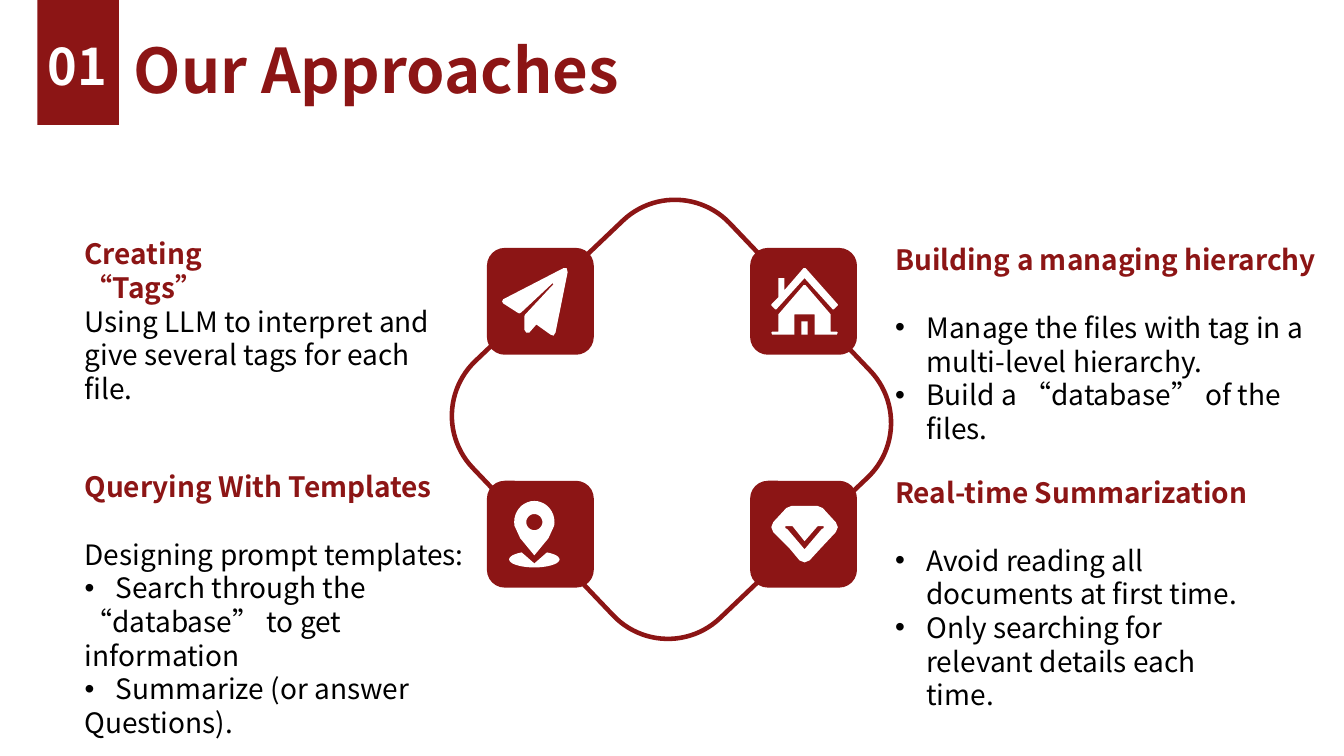
"""Build the "Our Approaches" slide with four topics around a looped frame."""
from math import cos, radians, sin

from lxml import etree
from pptx import Presentation
from pptx.dml.color import RGBColor
from pptx.enum.shapes import MSO_SHAPE
from pptx.enum.text import MSO_ANCHOR, PP_ALIGN
from pptx.oxml.ns import qn
from pptx.util import Inches, Pt

RECTANGLE = MSO_SHAPE.RECTANGLE
ROUNDED = MSO_SHAPE.ROUNDED_RECTANGLE
TOP = MSO_ANCHOR.TOP
LEFT = PP_ALIGN.LEFT
CENTER = PP_ALIGN.CENTER

CARDINAL = RGBColor(0x8C, 0x15, 0x15)
WHITE = RGBColor(0xFF, 0xFF, 0xFF)
BLACK = RGBColor(0x00, 0x00, 0x00)
FONT = "Noto Sans CJK SC"
BODY_SIZE = 20
LINE_RATIO = 1.2
BODY_DROP = 0.67
TILE_SIZE = 1.06
TILE_COLUMNS = (4.83, 7.44)
TILE_ROWS = (2.46, 4.77)

TOPICS = [
    (0.74, 2.3, 2.58, "Creating “Tags”", 3.84, [
        (False, "Using LLM to interpret and give several tags for each file."),
    ]),
    (0.74, 4.61, 3.74, "Querying With Templates", 4.23, [
        (False, "Designing prompt templates:"),
        (True, "Search through the"),
        (False, "“database” to get information"),
        (True, "Summarize (or answer"),
        (False, "Questions)."),
    ]),
    (8.78, 2.36, 4.5, "Building a managing hierarchy", 4.44, [
        (True, "Manage the files with tag in a multi-level hierarchy."),
        (True, "Build a “database” of the files."),
    ]),
    (8.78, 4.67, 4.05, "Real-time Summarization", 3.84, [
        (True, "Avoid reading all documents at first time."),
        (True, "Only searching for relevant details each time."),
    ]),
]


def arc(center_x, center_y, radius_x, radius_y, start, end):
    """Return points along an elliptical arc, clockwise in degrees."""
    return [(center_x + radius_x * cos(radians(angle)),
             center_y + radius_y * sin(radians(angle)))
            for angle in range(start, end + 1, 10)]


PLANE = [[
    (5.62, 2.66), (5.59, 2.66), (4.99, 2.97), (4.98, 2.99), (4.99, 3.01),
    (5.13, 3.1), (5.15, 3.11), (5.17, 3.1), (5.48, 2.81), (5.49, 2.82),
    (5.21, 3.12), (5.2, 3.14), (5.2, 3.27), (5.22, 3.3), (5.25, 3.3),
    (5.32, 3.22), (5.46, 3.32), (5.49, 3.33), (5.51, 3.3), (5.63, 2.7),
]]
HOUSE = [
    [(7.98, 2.76), (8.26, 3.07), (8.27, 3.07), (8.31, 3.03), (8.31, 3.02),
     (7.99, 2.66), (7.97, 2.66), (7.78, 2.88), (7.78, 2.76), (7.72, 2.76),
     (7.72, 2.95), (7.65, 3.02), (7.65, 3.03), (7.69, 3.07), (7.7, 3.07)],
    [(7.95, 3.19), (8.01, 3.19), (8.01, 3.32), (7.95, 3.32)],
    [(8.3, 3.29), (8.24, 3.29), (8.24, 3.12), (7.99, 2.83), (7.97, 2.83),
     (7.72, 3.12), (7.72, 3.29), (7.66, 3.29), (7.65, 3.3), (7.66, 3.32),
     (7.88, 3.32), (7.88, 3.12), (8.08, 3.12), (8.08, 3.32), (8.3, 3.32),
     (8.31, 3.3)],
]
PIN = [
    arc(5.3, 5.55, 0.25, 0.08, -60, 240) + [(5.3, 5.59)],
    arc(5.3, 5.18, 0.2, 0.21, 170, 370)
    + [(5.44, 5.34), (5.3, 5.51), (5.16, 5.34)],
    arc(5.3, 5.18, 0.08, 0.08, 0, 350),
]
GEM = [
    [(8.11, 5.22), (7.98, 5.37), (7.86, 5.22), (7.79, 5.22), (7.79, 5.24),
     (7.81, 5.25), (7.98, 5.45), (8.15, 5.25), (8.17, 5.24), (8.17, 5.22)],
    [(8.29, 5.18), (8.31, 5.23), (8.29, 5.28), (8.14, 5.44), (8.03, 5.56),
     (7.98, 5.58), (7.93, 5.56), (7.83, 5.44), (7.67, 5.28), (7.65, 5.23),
     (7.67, 5.18), (7.8, 5.04), (7.85, 5.02), (8.11, 5.02), (8.16, 5.04),
     (8.27, 5.16)],
]


class SlideBuilder:
    """Draw styled elements on one slide."""

    def __init__(self, slide):
        """Keep the slide to draw on."""
        self.slide = slide

    def block(self, kind, left, top, width, height):
        """Add a solid cardinal shape."""
        shape = self.slide.shapes.add_shape(
            kind, Inches(left), Inches(top), Inches(width), Inches(height))
        shape.shadow.inherit = False
        shape.fill.solid()
        shape.fill.fore_color.rgb = CARDINAL
        shape.line.fill.background()
        return shape

    def loop(self, left, top, size, rotation):
        """Add the rotated rounded outline."""
        shape = self.block(ROUNDED, left, top, size, size)
        shape.adjustments[0] = 0.213
        shape.rotation = rotation
        shape.fill.background()
        shape.line.color.rgb = CARDINAL
        shape.line.width = Pt(3.25)

    def icon(self, contours):
        """Add a white outline made of closed contours."""
        scaled = [[(x * 1000, y * 1000) for x, y in contour]
                  for contour in contours]
        builder = self.slide.shapes.build_freeform(
            *scaled[0][0], scale=Inches(1) / 1000)
        for index, contour in enumerate(scaled):
            if index:
                builder.move_to(*contour[0])
            builder.add_line_segments(contour[1:], close=True)
        shape = builder.convert_to_shape()
        shape.shadow.inherit = False
        shape.fill.solid()
        shape.fill.fore_color.rgb = WHITE
        shape.line.fill.background()

    def text(self, left, top, width, lines, size=BODY_SIZE, color=BLACK,
             bold=False, align=LEFT):
        """Add a wrapped text box from (bulleted, wording) lines."""
        line_height = size * LINE_RATIO
        height = len(lines) * line_height / 72 + 0.1
        shape = self.slide.shapes.add_textbox(
            Inches(left), Inches(top), Inches(width), Inches(height))
        frame = shape.text_frame
        frame.word_wrap = True
        frame.vertical_anchor = TOP
        for index, (bulleted, wording) in enumerate(lines):
            paragraph = frame.add_paragraph() if index else frame.paragraphs[0]
            paragraph.alignment = align
            paragraph.line_spacing = Pt(line_height)
            if bulleted:
                self.bullet(paragraph)
            run = paragraph.add_run()
            run.text = wording
            run.font.size = Pt(size)
            run.font.bold = bold
            run.font.color.rgb = color
            run.font.name = FONT
            etree.SubElement(run.font._element, qn("a:ea"), typeface=FONT)

    def bullet(self, paragraph):
        """Give a paragraph a hanging round bullet."""
        properties = paragraph._p.get_or_add_pPr()
        properties.set("marL", str(Inches(0.31)))
        properties.set("indent", str(-Inches(0.31)))
        etree.SubElement(properties, qn("a:buFont"), typeface="Arial")
        etree.SubElement(properties, qn("a:buChar"), char="•")


def main():
    """Create the presentation and save it."""
    presentation = Presentation()
    presentation.slide_width = Inches(13.33)
    presentation.slide_height = Inches(7.5)
    builder = SlideBuilder(
        presentation.slides.add_slide(presentation.slide_layouts[6]))

    builder.block(RECTANGLE, 0.37, 0, 0.81, 1.24)
    builder.text(0.32, 0.3, 0.89, [(False, "01")], 36, WHITE, True, CENTER)
    builder.text(1.23, 0.27, 6.69, [(False, "Our Approaches")],
                 44, CARDINAL, True)

    builder.loop(4.9, 2.4, 3.52, 316.4)
    for top in TILE_ROWS:
        for left in TILE_COLUMNS:
            builder.block(ROUNDED, left, top, TILE_SIZE, TILE_SIZE)
    for contours in (PLANE, HOUSE, PIN, GEM):
        builder.icon(contours)

    for left, top, heading_width, heading, body_width, lines in TOPICS:
        builder.text(left, top, heading_width, [(False, heading)],
                     color=CARDINAL, bold=True)
        builder.text(left, top + BODY_DROP, body_width, lines)

    presentation.save("out.pptx")


if __name__ == "__main__":
    main()
